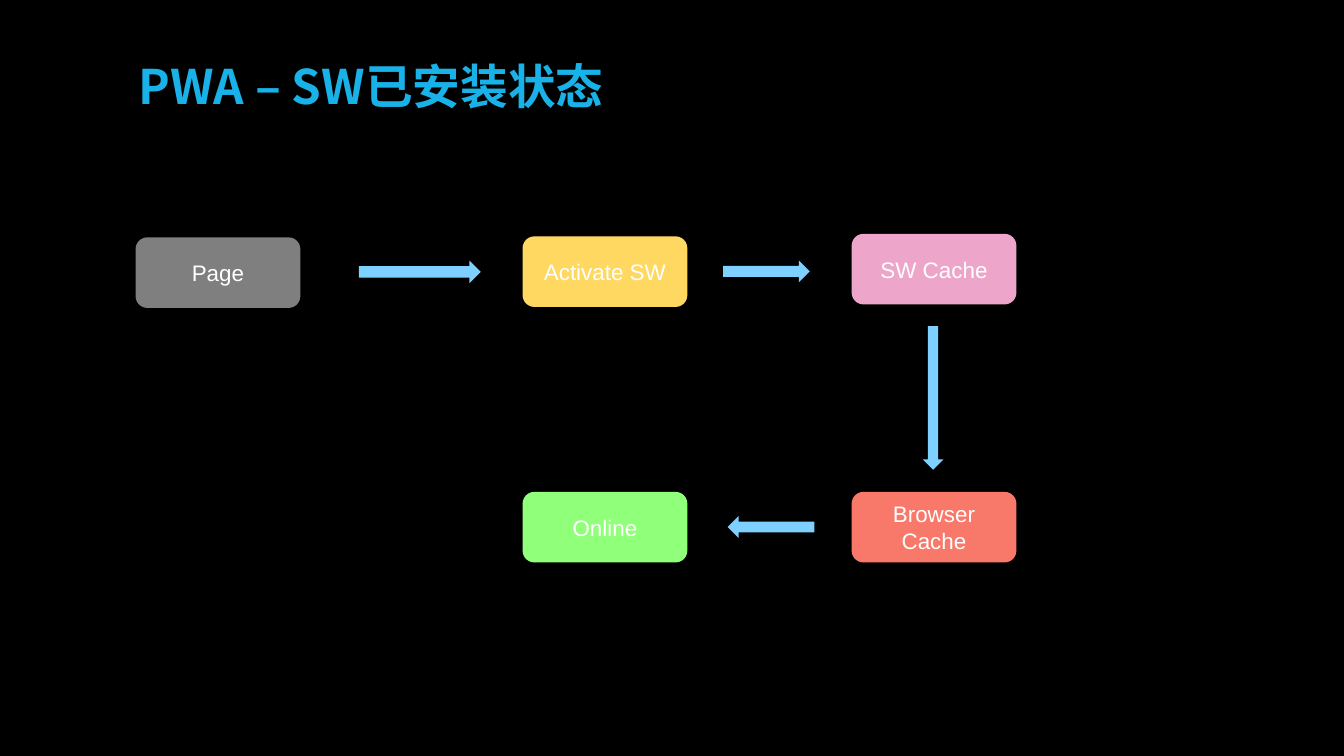
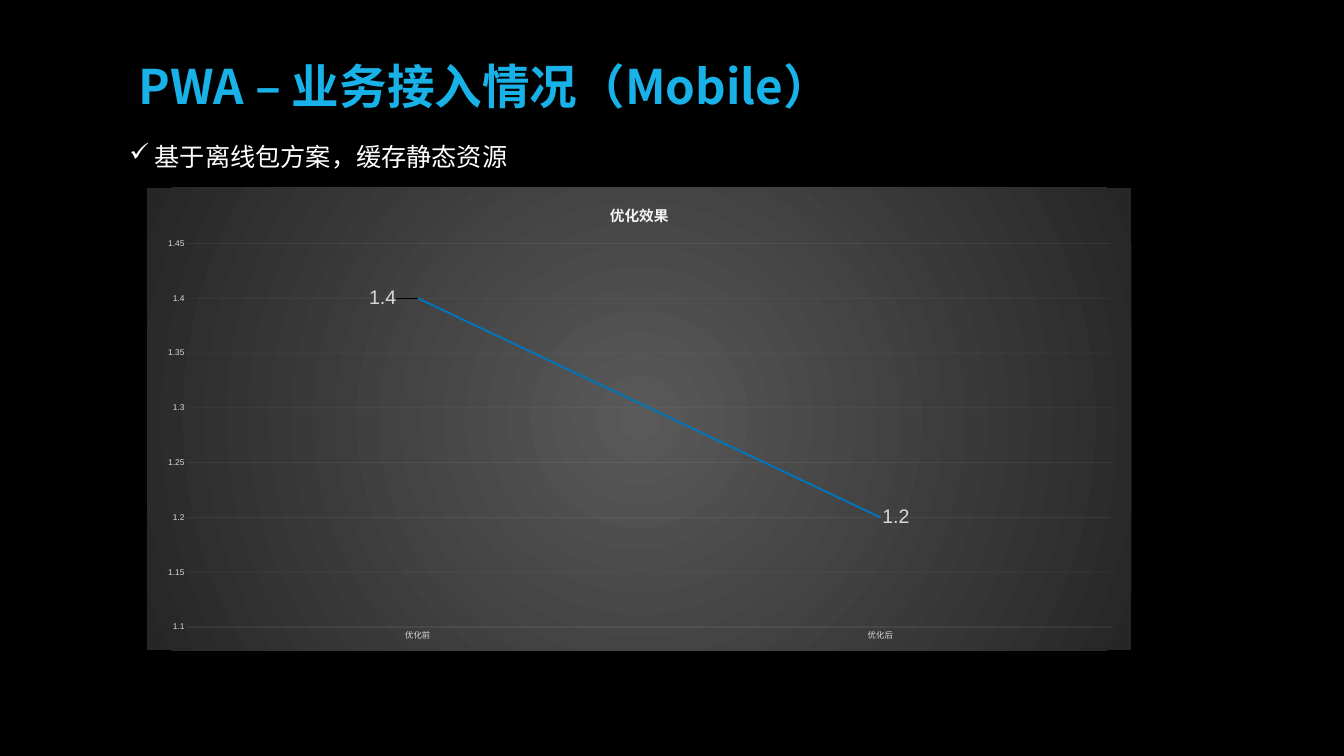
from collections import namedtuple
from dataclasses import dataclass

from lxml import etree
from pptx import Presentation
from pptx.chart.data import CategoryChartData
from pptx.dml.color import RGBColor
from pptx.enum.chart import XL_CHART_TYPE as ChartType, XL_LABEL_POSITION as LabelPos
from pptx.enum.chart import XL_MARKER_STYLE as Marker, XL_TICK_MARK as Tick
from pptx.enum.shapes import MSO_SHAPE as Shape
from pptx.enum.text import MSO_ANCHOR as Anchor, PP_ALIGN as Align
from pptx.oxml import parse_xml
from pptx.oxml.ns import nsdecls, qn
from pptx.util import Inches, Pt

Box = namedtuple("Box", "left top width height")


@dataclass(frozen=True)
class Theme:
    background: str = "000000"
    title: str = "18B2E8"
    text: str = "FFFFFF"
    arrow: str = "7DD0FF"
    page: str = "7F7F7F"
    activate: str = "FFD862"
    sw_cache: str = "EDA6CA"
    online: str = "90FF7A"
    browser_cache: str = "F8786A"
    chart_center: str = "595959"
    chart_edge: str = "262626"
    grid: str = "F2F2F2"
    chart_text: str = "D9D9D9"
    series: str = "0076BA"
    title_font: str = "Noto Sans CJK SC"
    body_font: str = "Arial"
    title_size: int = 68
    bullet_size: int = 36
    step_size: int = 32
    value_size: int = 28
    chart_title_size: int = 21
    axis_size: int = 12


THEME = Theme()
TITLE_BOX = Box(2.69, 1.07, 21.28, 1.43)
INSET = 0.06


def rgb(color):
    return RGBColor.from_string(color)


def inches(box):
    return [Inches(length) for length in box]


def within(box, left, top, width, height):
    """Turn a place relative to box into a place on the slide."""
    return Box(box.left + left, box.top + top, width, height)


def style_font(font, size, color, name=THEME.body_font, bold=False):
    font.size, font.name, font.bold = Pt(size), name, bold
    font.color.rgb = rgb(color)


def set_insets(frame):
    frame.margin_left = frame.margin_right = Inches(INSET)
    frame.margin_top = frame.margin_bottom = Inches(INSET)


def use_east_asian_font(paragraph, name):
    latin = paragraph._p.find(".//" + qn("a:latin"))
    latin.addnext(parse_xml(f'<a:ea {nsdecls("a")} typeface="{name}"/>'))


def add_titled_slide(deck, title):
    slide = deck.slides.add_slide(deck.slide_layouts[6])
    slide.background.fill.solid()
    slide.background.fill.fore_color.rgb = rgb(THEME.background)
    frame = slide.shapes.add_textbox(*inches(TITLE_BOX)).text_frame
    frame.word_wrap = True
    set_insets(frame)
    heading = frame.paragraphs[0]
    heading.text = title
    style_font(heading.font, THEME.title_size, THEME.title, THEME.title_font, True)
    use_east_asian_font(heading, THEME.title_font)
    return slide


def add_flat_shape(slide, preset, box, color):
    shape = slide.shapes.add_shape(preset, *inches(box))
    shape.shadow.inherit = False
    shape.fill.solid()
    shape.fill.fore_color.rgb = rgb(color)
    shape.line.fill.background()
    return shape


def add_step(slide, box, label, color):
    step = add_flat_shape(slide, Shape.ROUNDED_RECTANGLE, box, color)
    frame = step.text_frame
    frame.word_wrap = True
    frame.vertical_anchor = Anchor.MIDDLE
    set_insets(frame)
    caption = frame.paragraphs[0]
    caption.text = label
    caption.alignment = Align.CENTER
    style_font(caption.font, THEME.step_size, THEME.text)


def add_cache_flow(slide, box):
    step_width, step_height = 3.27, 1.4
    middle = 7.68
    right = box.width - step_width
    lower = box.height - step_height
    steps = [
        ("Page", 0, 0.07, THEME.page),
        ("Activate SW", middle, 0.05, THEME.activate),
        ("SW Cache", right, 0, THEME.sw_cache),
        ("Online", middle, lower, THEME.online),
        ("Browser Cache", right, lower, THEME.browser_cache),
    ]
    for label, left, top, color in steps:
        add_step(slide, within(box, left, top, step_width, step_height), label, color)

    arrows = [
        (14.4, 3.05, 2.85, 0.41, 90),
        (11.66, 0.53, 1.72, 0.43, 0),
        (11.75, 5.6, 1.72, 0.43, 180),
        (4.43, 0.53, 2.42, 0.45, 0),
    ]
    for *place, rotation in arrows:
        arrow = add_flat_shape(slide, Shape.RIGHT_ARROW, within(box, *place), THEME.arrow)
        arrow.rotation = rotation


def add_check_point(slide, box, text):
    frame = slide.shapes.add_textbox(*inches(box)).text_frame
    frame.word_wrap = True
    point = frame.paragraphs[0]
    point.text = text
    properties = point._p.get_or_add_pPr()
    properties.set("marL", str(Inches(0.5)))
    properties.set("indent", str(-Inches(0.5)))
    color = etree.SubElement(properties, qn("a:buClr"))
    etree.SubElement(color, qn("a:srgbClr"), val=THEME.text)
    etree.SubElement(properties, qn("a:buChar"), char="✓")
    style_font(point.font, THEME.bullet_size, THEME.text)


def style_faint_line(line):
    line.width = Pt(0.75)
    line.color.rgb = rgb(THEME.grid)
    color = line._get_or_add_ln().find(".//" + qn("a:srgbClr"))
    etree.SubElement(color, qn("a:alpha"), val="10000")


def fill_chart_radially(chart):
    chart._chartSpace.find(qn("c:chart")).addnext(parse_xml(
        f'<c:spPr {nsdecls("c", "a")}><a:gradFill><a:gsLst>'
        f'<a:gs pos="0"><a:srgbClr val="{THEME.chart_center}"/></a:gs>'
        f'<a:gs pos="100000"><a:srgbClr val="{THEME.chart_edge}"/></a:gs>'
        '</a:gsLst><a:path path="circle">'
        '<a:fillToRect l="50000" t="50000" r="50000" b="50000"/>'
        '</a:path></a:gradFill><a:ln><a:noFill/></a:ln></c:spPr>'))


def manual_layout(**settings):
    entries = "".join(f'<c:{key} val="{value}"/>' for key, value in settings.items())
    return parse_xml(f'<c:layout {nsdecls("c")}><c:manualLayout>{entries}'
                     '</c:manualLayout></c:layout>')


def place_plot(chart, **settings):
    plot_area = chart._chartSpace.find(".//" + qn("c:plotArea"))
    for layout in plot_area.findall(qn("c:layout")):
        plot_area.remove(layout)
    plot_area.insert(0, manual_layout(layoutTarget="inner", xMode="edge",
                                      yMode="edge", **settings))


def style_axes(chart):
    category, value = chart.category_axis, chart.value_axis
    for axis in (category, value):
        axis.major_tick_mark = axis.minor_tick_mark = Tick.NONE
        style_font(axis.tick_labels.font, THEME.axis_size, THEME.chart_text)
    style_faint_line(category.format.line)
    value.format.line.fill.background()
    value.minimum_scale, value.maximum_scale, value.major_unit = 1.1, 1.45, 0.05
    value.has_major_gridlines = True
    style_faint_line(value.major_gridlines.format.line)


def style_series(series):
    series.smooth = False
    series.marker.style = Marker.NONE
    series.format.line.width = Pt(2.75)
    series.format.line.color.rgb = rgb(THEME.series)
    labels = series.data_labels
    labels.show_value = True
    labels.position = LabelPos.RIGHT
    style_font(labels.font, THEME.value_size, THEME.chart_text)

    before = series.points[0].data_label
    style_font(before.font, THEME.value_size, THEME.chart_text)
    before.position = LabelPos.LEFT
    label_index = labels._element.find(qn("c:dLbl")).find(qn("c:idx"))
    label_index.addnext(manual_layout(x=-0.02, y=0))


def add_effect_chart(slide, box):
    effect = CategoryChartData()
    effect.categories = ["优化前", "优化后"]
    effect.add_series("Series 1", [1.4, 1.2])
    chart = slide.shapes.add_chart(ChartType.LINE, *inches(box), effect).chart
    style_font(chart.font, 10, THEME.text)
    fill_chart_radially(chart)
    chart.has_legend = False
    chart.has_title = True
    heading = chart.chart_title.text_frame.paragraphs[0]
    heading.text = "优化效果"
    style_font(heading.font, THEME.chart_title_size, THEME.grid, bold=True)
    chart.chart_title.include_in_layout = False
    style_axes(chart)
    chart.plots[0].vary_by_categories = False
    style_series(chart.plots[0].series[0])
    place_plot(chart, x=0.04, y=0.12, w=0.94, h=0.83)


def main():
    deck = Presentation()
    deck.slide_width, deck.slide_height = Inches(26.67), Inches(15)

    installed = add_titled_slide(deck, "PWA – SW已安装状态")
    add_cache_flow(installed, Box(2.69, 4.64, 17.48, 6.52))

    adoption = add_titled_slide(deck, "PWA – 业务接入情况（Mobile）")
    add_check_point(adoption, Box(2.47, 2.76, 9.45, 0.71), "基于离线包方案，缓存静态资源")
    add_effect_chart(adoption, Box(2.92, 3.73, 19.53, 9.17))

    deck.save("out.pptx")


if __name__ == "__main__":
    main()
